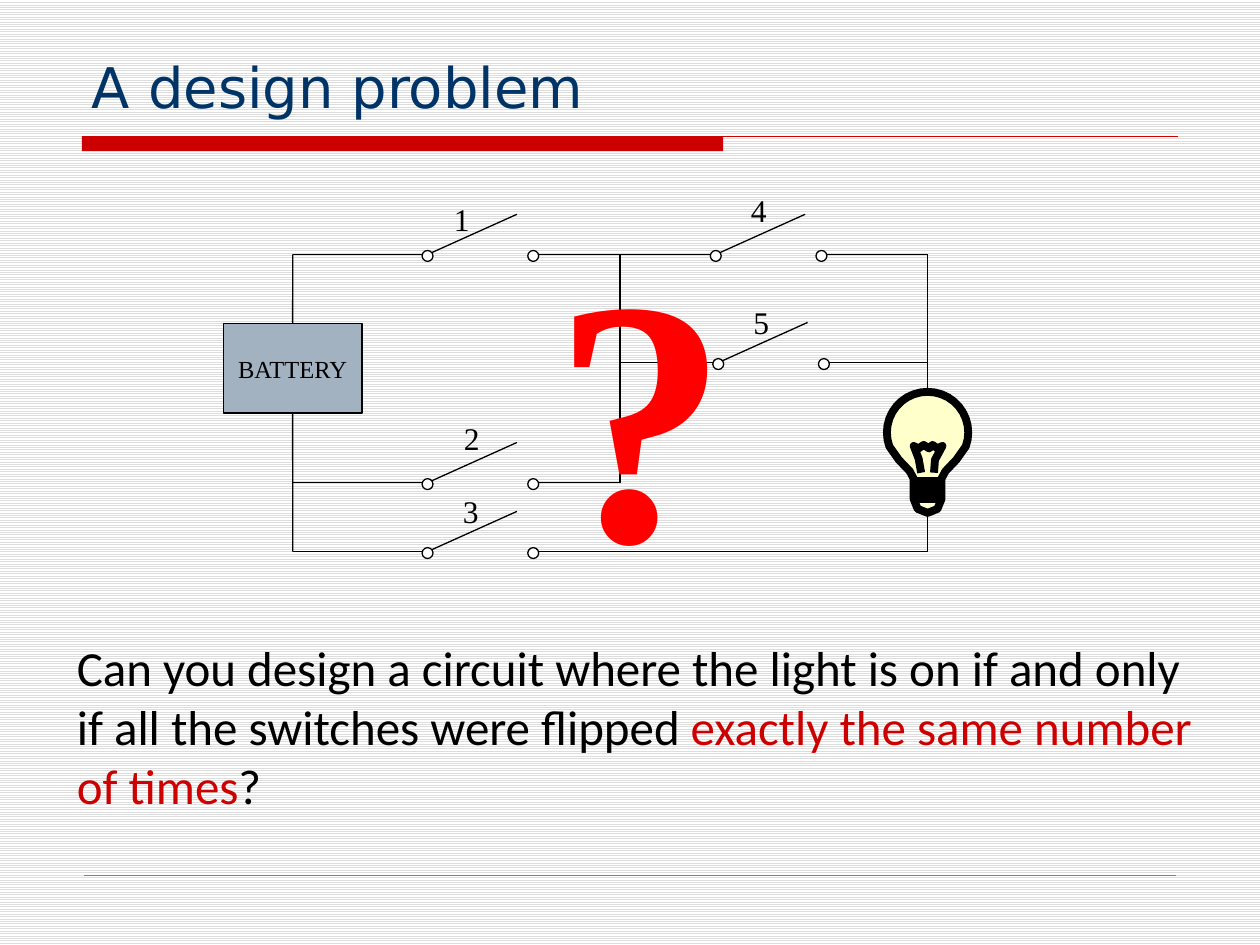
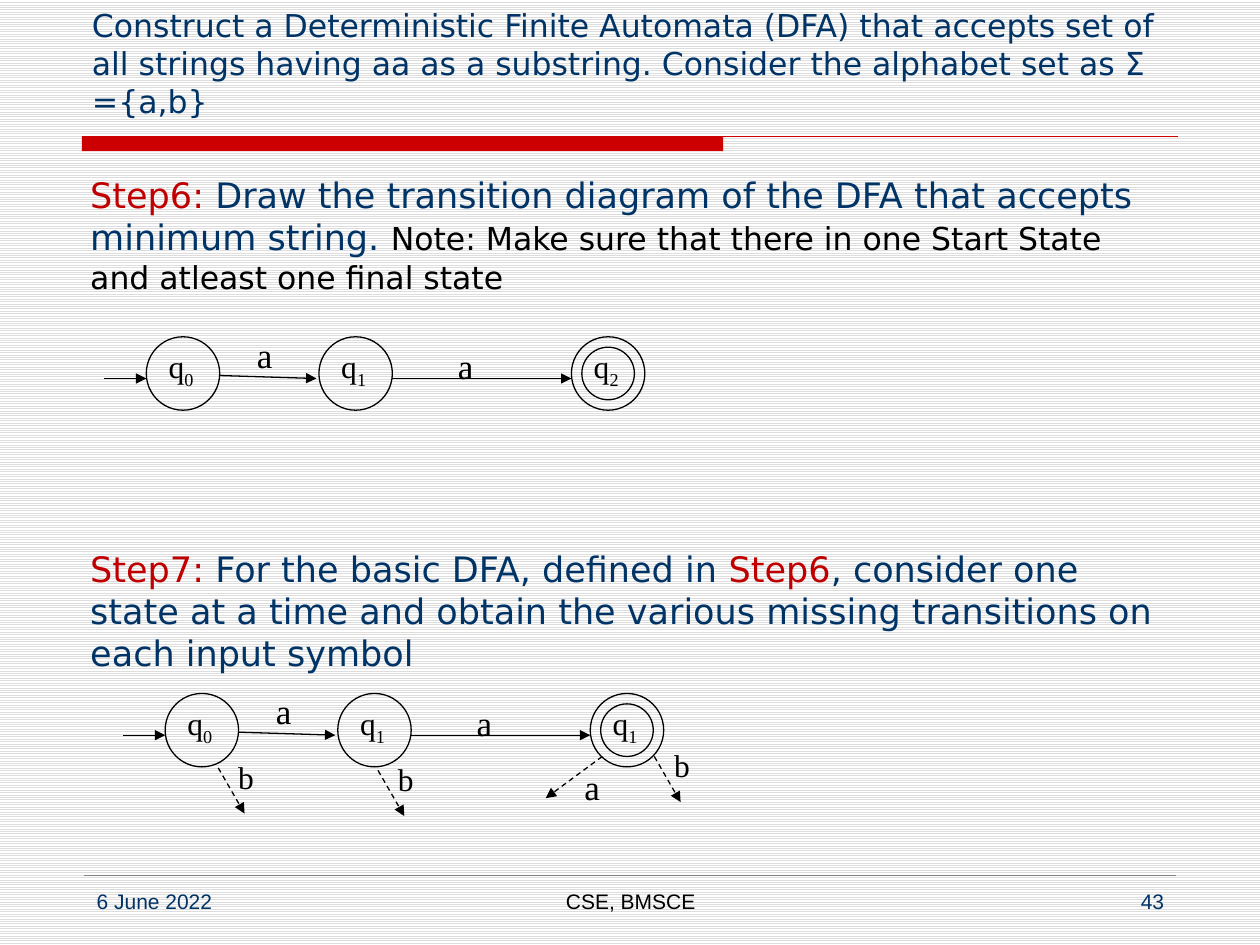
from math import cos, radians, sin

from lxml import etree
from pptx import Presentation
from pptx.dml.color import RGBColor
from pptx.enum.dml import MSO_LINE, MSO_PATTERN
from pptx.enum.shapes import MSO_CONNECTOR, MSO_SHAPE
from pptx.enum.text import MSO_ANCHOR, MSO_AUTO_SIZE, PP_ALIGN
from pptx.oxml.ns import qn
from pptx.util import Cm, Pt

DASH = MSO_LINE.DASH
STRIPES = MSO_PATTERN.LIGHT_HORIZONTAL
STRAIGHT = MSO_CONNECTOR.STRAIGHT
RECT, OVAL = MSO_SHAPE.RECTANGLE, MSO_SHAPE.OVAL
BOTTOM, MIDDLE = MSO_ANCHOR.BOTTOM, MSO_ANCHOR.MIDDLE
FIXED, GROW = MSO_AUTO_SIZE.NONE, MSO_AUTO_SIZE.SHAPE_TO_FIT_TEXT
LEFT, CENTER, RIGHT = PP_ALIGN.LEFT, PP_ALIGN.CENTER, PP_ALIGN.RIGHT

COLORS = {
    "black": "000000", "white": "FFFFFF", "stripe": "DDDDDD", "navy": "003366",
    "red": "CC0000", "step": "C00000", "bright": "FF0000", "rule": "808080",
    "battery": "A3B2C1", "glow": "FFFFCC",
}
TITLE_FONT, BODY_FONT, FOOT_FONT, SERIF = "DejaVu Sans", "Calibri", "Arial", "Times New Roman"


def rgb(name):
    """Return a palette colour."""
    return RGBColor.from_string(COLORS[name])


def add_run(p, text, size, font, color="black", bold=False, sub=False):
    """Append one formatted run to a paragraph."""
    r = p.add_run()
    r.text = text
    r.font.size, r.font.name, r.font.bold = Pt(size), font, bold
    r.font.color.rgb = rgb(color)
    if sub:
        r._r.get_or_add_rPr().set("baseline", "-25000")


def add_text(slide, x, y, w, h, runs, align=LEFT, wrap=True):
    """Add a text box whose single paragraph holds the given runs."""
    tf = slide.shapes.add_textbox(Cm(x), Cm(y), Cm(w), Cm(h)).text_frame
    tf.word_wrap = wrap
    tf.auto_size = FIXED if wrap else GROW
    p = tf.paragraphs[0]
    p.alignment = align
    for run in runs:
        add_run(p, *run)


def add_label(slide, x, y, text, size=18, sub=""):
    """Add a small serif label with an optional subscript."""
    runs = [(text, size, SERIF)]
    if sub:
        runs.append((sub, size, SERIF, "black", False, True))
    add_text(slide, x, y, 1.02 if sub else 0.82, 1.02, runs, wrap=False)


def add_line(slide, x1, y1, x2, y2, color="black", width=0.75, arrow=False, dash=False):
    """Add a straight connector without a shadow."""
    sp = slide.shapes.add_connector(STRAIGHT, Cm(x1), Cm(y1), Cm(x2), Cm(y2))
    sp.line.color.rgb = rgb(color)
    sp.line.width = Pt(width)
    if dash:
        sp.line.dash_style = DASH
    if arrow:
        etree.SubElement(sp.line._get_or_add_ln(), qn("a:tailEnd"), type="triangle")
    etree.SubElement(sp._element.spPr, qn("a:effectLst"))
    return sp


def style(sp, fill=None, line="black", width=0.75):
    """Set the fill and outline of a shape and drop its shadow."""
    sp.shadow.inherit = False
    if fill:
        sp.fill.solid()
        sp.fill.fore_color.rgb = rgb(fill)
    else:
        sp.fill.background()
    sp.line.color.rgb = rgb(line)
    sp.line.width = Pt(width)
    return sp


def add_shape(slide, kind, x, y, w, h, fill=None, line="black"):
    """Add a styled preset shape."""
    return style(slide.shapes.add_shape(kind, Cm(x), Cm(y), Cm(w), Cm(h)), fill, line)


def add_outline(slide, x, y, points, fill=None, close=False):
    """Add a thick freeform through points relative to x and y."""
    pts = [(Cm(x + px), Cm(y + py)) for px, py in points]
    fb = slide.shapes.build_freeform(*pts[0])
    fb.add_line_segments(pts[1:], close=close)
    style(fb.convert_to_shape(), fill, width=4.5)


def add_slide(prs, title, size):
    """Add a slide with the title, the red band and the footer rule."""
    slide = prs.slides.add_slide(prs.slide_layouts[5])
    add_shape(slide, RECT, 1.65, 2.75, 12.93, 0.3, "red", "red").line.fill.background()
    add_line(slide, 1.65, 2.75, 23.75, 2.75, "red")
    add_line(slide, 1.7, 17.65, 23.7, 17.65, "rule", 0.25)
    sp = slide.shapes.title
    sp.left, sp.top, sp.width, sp.height = Cm(1.6), Cm(0.43), Cm(22.23), Cm(2.11)
    tf = sp.text_frame
    tf.word_wrap, tf.auto_size, tf.vertical_anchor = True, FIXED, BOTTOM
    p = tf.paragraphs[0]
    p.alignment = LEFT
    add_run(p, title, size, TITLE_FONT, "navy")
    return slide


def add_footer(slide, y, date, center, number):
    """Add the date, the centre text and the slide number."""
    parts = [
        (1.7, 5.51, date, "navy", LEFT),
        (8.69, 8.05, center, "black", CENTER),
        (18.21, 5.51, number, "navy", RIGHT),
    ]
    for x, w, text, color, align in parts:
        add_text(slide, x, y, w, 0.89, [(text, 12, FOOT_FONT, color)], align)


def add_switch(slide, x, y, label, dx, dy):
    """Add an open switch whose left contact is centred on x and y."""
    size, gap = 0.22, 2.13
    add_line(slide, x, y, x + 1.8, y - 0.81)
    for cx in (x, x + gap):
        add_shape(slide, OVAL, cx - size / 2, y + 0.03 - size / 2, size, size, "white")
    add_label(slide, x + dx, y + dy, label)


def add_bulb(slide, x, y):
    """Add a light bulb whose top centre is at x and y."""
    radius = 0.82
    dome = [(radius * sin(radians(a)), radius * (1 - cos(radians(a)))) for a in range(0, 111, 10)]
    neck = [(0.58, 1.37), (0.36, 1.6), (0.28, 1.75), (0.28, 2.16), (0.2, 2.36), (0, 2.44)]
    half = dome + neck
    mirrored = [(-px, py) for px, py in half[-2:0:-1]]
    add_outline(slide, x, y, half + mirrored, "glow", True)
    filament = [
        (-0.13, 1.63), (-0.18, 1.35), (-0.28, 1.09), (-0.18, 1.14), (-0.08, 1.07), (0.03, 1.14),
        (0.1, 1.07), (0.2, 1.14), (0.3, 1.09), (0.15, 1.37), (0.13, 1.63),
    ]
    thread = [
        (-0.28, 1.8), (0.28, 1.8), (0.28, 1.91), (-0.28, 1.91),
        (-0.28, 2.03), (0.28, 2.03), (0.28, 2.16), (-0.25, 2.16),
    ]
    for points in (filament, thread):
        add_outline(slide, x, y, points)


def add_circuit(slide, x, y):
    """Draw the battery, wires, switches and bulb from the top-left corner."""
    supply, middle, lamp = 1.4, 8, 14.2
    top, inner, lower, bottom = 1.4, 3.58, 6, 7.39
    left_sw, right_sw, inner_sw, gap = 4.12, 9.93, 9.98, 2.13
    wires = [
        (supply, top, left_sw, top), (left_sw + gap, top, right_sw, top),
        (right_sw + gap, top, lamp, top),
        (middle, inner, inner_sw, inner), (inner_sw + gap, inner, lamp, inner),
        (supply, lower, left_sw, lower), (left_sw + gap, lower, middle, lower),
        (supply, bottom, left_sw, bottom), (left_sw + gap, bottom, lamp, bottom),
        (middle, top, middle, lower), (lamp, top, lamp, bottom),
    ]
    for x1, y1, x2, y2 in wires:
        add_line(slide, x + x1, y + y1, x + x2, y + y2)

    battery = add_shape(slide, RECT, x, y + 2.79, 2.8, 1.81, "battery")
    tf = battery.text_frame
    tf.word_wrap, tf.vertical_anchor = False, MIDDLE
    p = tf.paragraphs[0]
    p.alignment = CENTER
    add_run(p, "BATTERY", 14, SERIF)
    for side, end in ((0, top), (2, bottom)):
        lead = add_line(slide, x + supply, y + inner, x + supply, y + end)
        lead.begin_connect(battery, side)

    switches = [
        (left_sw, top, "1", 0.28, -1.22), (left_sw, lower, "2", 0.48, -1.4),
        (left_sw, bottom, "3", 0.46, -1.32), (right_sw, top, "4", 0.46, -1.4),
        (inner_sw, inner, "5", 0.46, -1.32),
    ]
    for sx, sy, label, dx, dy in switches:
        add_switch(slide, x + sx, y + sy, label, dx, dy)
    add_bulb(slide, x + lamp, y + 4.17)


def add_automaton(slide, x, y, states, missing=()):
    """Draw a chain of three states, the last final, with missing transitions."""
    size, inset = 1.48, 0.21
    lefts = (0, 3.48, 8.57)
    for left, sub in zip(lefts, states):
        add_shape(slide, OVAL, x + left, y, size, size)
        add_label(slide, x + left + 0.2, y + 0.09, "q", sub=sub)
    add_shape(slide, OVAL, x + lefts[-1] + inset, y + inset, size - 2 * inset, size - 2 * inset)
    arrows = [(-0.86, 0.84, 0), (size, 0.78, 3.43), (lefts[1] + size, 0.84, lefts[2])]
    for start, dy, end in arrows:
        add_line(slide, x + start, y + dy, x + end, y + 0.84, arrow=True)
    for dx, dy in ((1.98, -0.2), (6.03, 0.03)):
        add_label(slide, x + dx, y + dy, "a", 20)
    reach = {"b": (0.53, 0.92, 0.15, -0.33, 18), "a": (-1.14, 0.84, -0.61, 0.05, 20)}
    for symbol, dx, dy in missing:
        run, drop, label_dx, label_dy, points = reach[symbol]
        sx, sy = x + dx, y + dy
        add_line(slide, sx, sy, sx + run, sy + drop, arrow=True, dash=True)
        add_label(slide, sx + label_dx, sy + label_dy, symbol, points)


def build_design_slide(prs):
    """Build the circuit puzzle slide."""
    slide = add_slide(prs, "A design problem", 32)
    add_text(slide, 1.3, 12.73, 23.01, 3.81, [
        ("Can you design a circuit where the light is on if and only if all the switches "
         "were flipped ", 28, BODY_FONT),
        ("exactly the same number of times", 28, BODY_FONT, "red"),
        ("?", 28, BODY_FONT),
    ])
    add_circuit(slide, 4.5, 3.73)
    add_text(slide, 10.9, 3.73, 3.45, 8.71, [("?", 200, SERIF, "bright", True)], wrap=False)


def build_dfa_slide(prs):
    """Build the automaton construction slide."""
    slide = add_slide(
        prs,
        "Construct a Deterministic Finite Automata (DFA) that accepts set of all strings "
        "having aa as a substring. Consider the alphabet set as Σ ={a,b}", 18)
    step6 = [
        ("Step6: ", 20, TITLE_FONT, "step"),
        ("Draw the transition diagram of the DFA that accepts minimum string. ",
         20, TITLE_FONT, "navy"),
        ("Note: Make sure that there in one Start State and atleast one final state",
         18, TITLE_FONT),
    ]
    step7 = [
        ("Step7: ", 20, TITLE_FONT, "step"),
        ("For the basic DFA, defined in ", 20, TITLE_FONT, "navy"),
        ("Step6", 20, TITLE_FONT, "step"),
        (", consider one state at a time and obtain the various missing transitions on each "
         "input symbol", 20, TITLE_FONT, "navy"),
    ]
    for y, runs in ((3.38, step6), (10.92, step7)):
        add_text(slide, 1.57, y, 22.23, 2.8, runs)
    add_automaton(slide, 2.95, 6.79, "012")
    add_automaton(slide, 3.33, 13.98, "011", [
        ("b", 1.07, 1.5), ("b", 4.29, 1.55), ("a", 8.81, 1.27), ("b", 9.86, 1.27),
    ])
    add_footer(slide, 17.78, "6 June 2022", "CSE, BMSCE", "43")


def main():
    """Build and save the presentation."""
    prs = Presentation()
    prs.slide_width, prs.slide_height = Cm(25.4), Cm(19.05)
    fill = prs.slide_master.background.fill
    fill.patterned()
    fill.pattern = STRIPES
    fill.fore_color.rgb = rgb("stripe")
    fill.back_color.rgb = rgb("white")
    build_design_slide(prs)
    build_dfa_slide(prs)
    prs.save("out.pptx")


if __name__ == "__main__":
    main()
